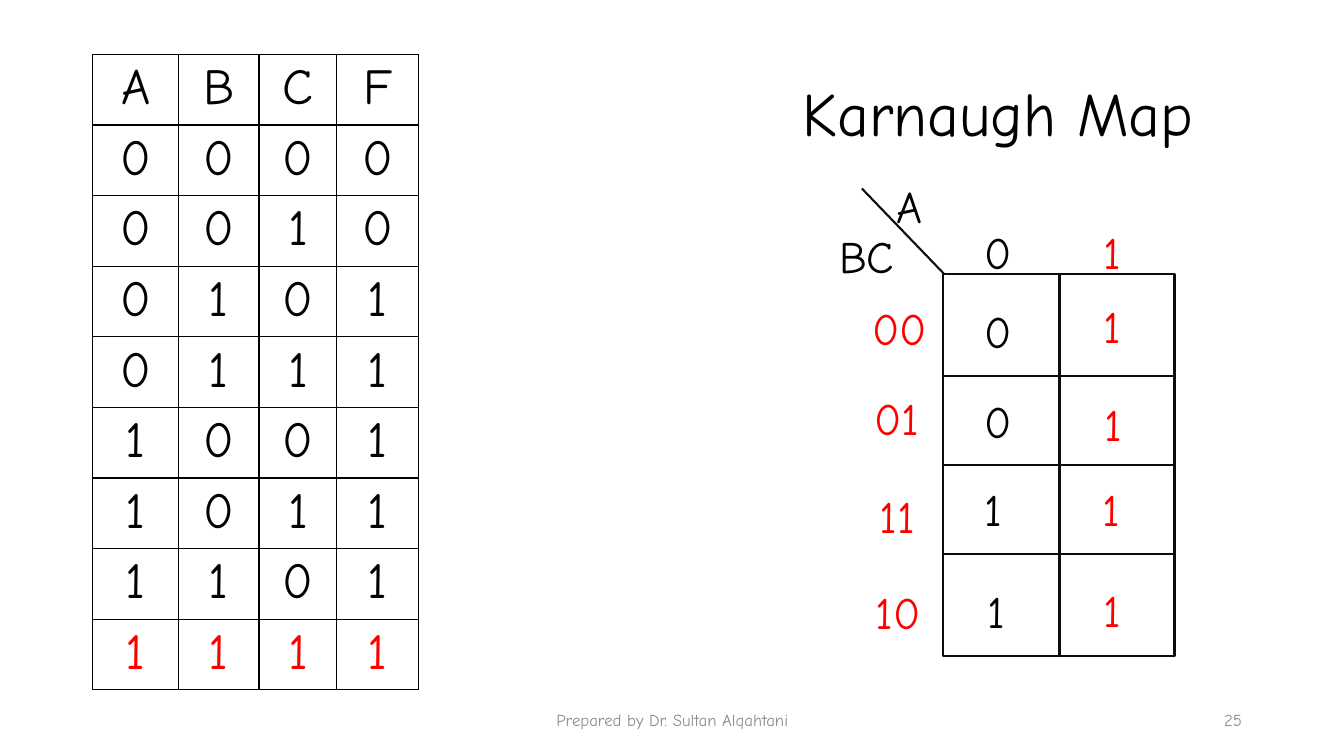
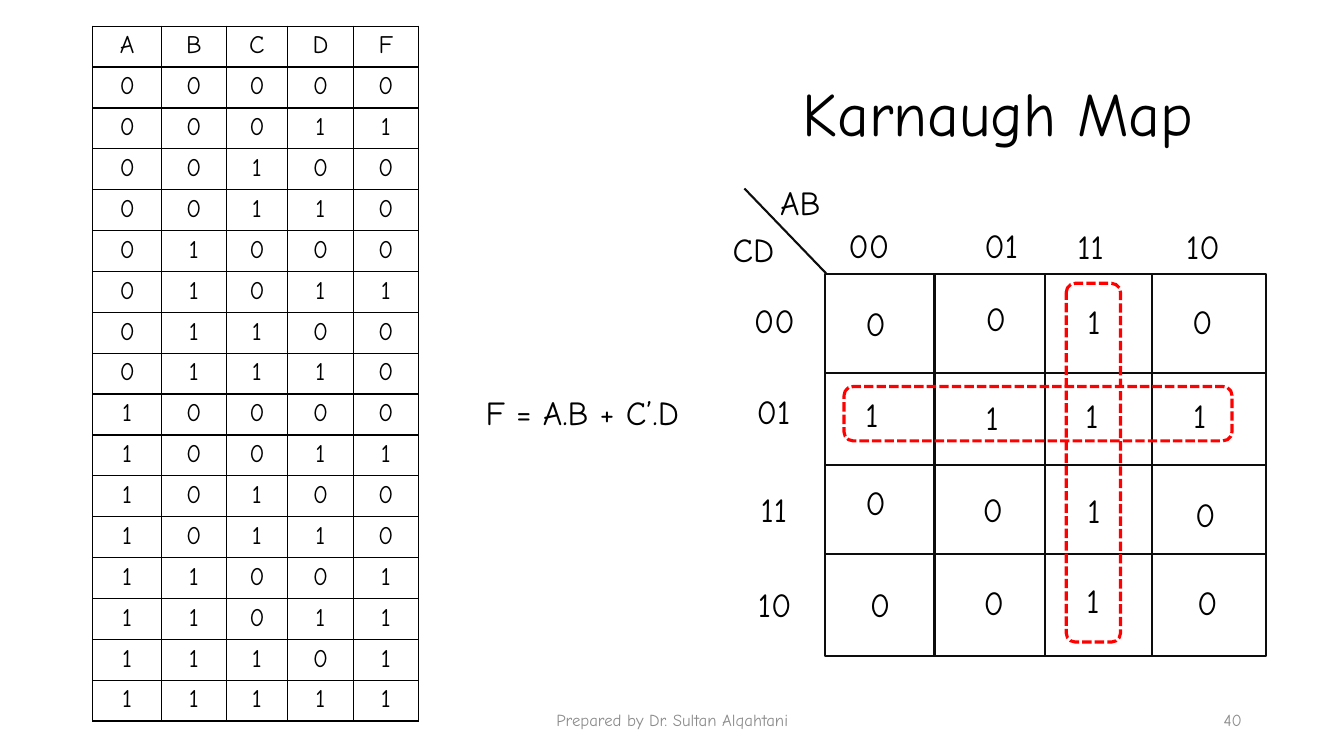
"""Build two Karnaugh map slides with their truth tables."""
from dataclasses import dataclass
from itertools import product

from lxml import etree
from pptx import Presentation
from pptx import util as u
from pptx.dml.color import RGBColor
from pptx.enum import dml, shapes, text
from pptx.oxml import ns

Cm, Pt = u.Cm, u.Pt


@dataclass(frozen=True)
class Theme:
    """Hold the colours, font and type sizes."""
    font: str = "Comic Neue"
    ink: str = "000000"
    line: str = "0D0D0D"
    red: str = "FF0000"
    grey: str = "8C8C8C"
    paper: str = "FFFFFF"
    title: int = 44
    large: int = 32
    mid: int = 24
    head: int = 36
    body: int = 18
    foot: int = 12


EMS = {"0": 0.62, "1": 0.46, "A": 0.74, "B": 0.62, "C": 0.62, "D": 0.73}
LEFT, MID, RIGHT = text.PP_ALIGN.LEFT, text.PP_ALIGN.CENTER, text.PP_ALIGN.RIGHT


def apply(item, vals):
    """Set each named value on an item."""
    for name, val in vals.items():
        setattr(item, name, val)


class Deck:
    """Hold the theme and current slide and draw each kind of element."""

    def __init__(self, theme):
        """Start an empty widescreen deck."""
        self.theme = theme
        self.prs = Presentation()
        apply(self.prs, {"slide_width": Cm(33.87), "slide_height": Cm(19.05)})
        self.slide = None

    def page(self, num):
        """Add a slide with the shared title, footer and number."""
        t = self.theme
        self.slide = self.prs.slides.add_slide(self.prs.slide_layouts[6])
        self.block("Karnaugh Map", (16.94, 1.09, 13.39, 3.68), t.title, t.ink, RIGHT)
        self.block("Prepared by Dr. Sultan Alqahtani", (11.23, 17.65, 11.43, 1.02),
                   t.foot, t.grey, MID)
        self.block(num, (23.93, 17.65, 7.62, 1.02), t.foot, t.grey, RIGHT)

    def style(self, frame, words, size, hue, align):
        """Fill a text frame with one styled paragraph."""
        para = frame.paragraphs[0]
        para.alignment = align
        run = para.add_run()
        run.text = words
        apply(run.font, {"name": self.theme.font, "size": Pt(size)})
        run.font.color.rgb = RGBColor.from_string(hue)
        return para

    def block(self, words, box, size, hue, align):
        """Add a wrapped, vertically centred text box."""
        frame = self.slide.shapes.add_textbox(*map(Cm, box)).text_frame
        apply(frame, {"word_wrap": True, "vertical_anchor": text.MSO_ANCHOR.MIDDLE})
        self.style(frame, words, size, hue, align).line_spacing = 0.9

    def label(self, words, left, top, size, hue, width=None):
        """Add a one-line label sized to its characters."""
        wide = Cm(width) if width else Cm(0.51) + Pt(size * sum(EMS[c] for c in words))
        high = Cm(0.25) + Pt(1.2 * size)
        frame = self.slide.shapes.add_textbox(Cm(left), Cm(top), wide, high).text_frame
        apply(frame, {"word_wrap": False,
                      "auto_size": text.MSO_AUTO_SIZE.SHAPE_TO_FIT_TEXT})
        self.style(frame, words, size, hue, LEFT)

    def labels(self, marks, size, hue):
        """Add several labels of one size and colour."""
        for mark in marks:
            self.label(*mark, size, hue)

    def line(self, *ends):
        """Draw a plain straight line."""
        rule = self.slide.shapes.add_connector(
            shapes.MSO_CONNECTOR.STRAIGHT, *map(Cm, ends))
        rule.line.width = Pt(1.5)
        rule.line.color.rgb = RGBColor.from_string(self.theme.line)
        etree.SubElement(rule._element.spPr, ns.qn("a:effectLst"))

    def shape(self, kind, box, hue, width):
        """Add an outlined preset shape without fill or shadow."""
        item = self.slide.shapes.add_shape(kind, *map(Cm, box))
        item.shadow.inherit = False
        item.fill.background()
        item.line.width = Pt(width)
        item.line.color.rgb = RGBColor.from_string(hue)
        return item

    def loop(self, *box):
        """Ring a group of ones with a dashed red outline."""
        ring = self.shape(shapes.MSO_SHAPE.ROUNDED_RECTANGLE, box, self.theme.red, 2.25)
        ring.line.dash_style = dml.MSO_LINE.SQUARE_DOT

    def grid(self, left, width, cols, rows):
        """Draw a map frame, its inner rules and its corner slash."""
        top, high = 6.9, 9.63
        frame = self.shape(shapes.MSO_SHAPE.RECTANGLE, (left, top, width, high),
                           self.theme.line, 1.5)
        frame.fill.solid()
        frame.fill.fore_color.rgb = RGBColor.from_string(self.theme.paper)
        for x in cols:
            self.line(x, top, x, top + high)
        for y in rows:
            self.line(left, y, left + width, y)
        self.line(left + 0.03, top, left - 2.04, 4.75)

    def edge(self, cell):
        """Give a cell thin borders on all sides."""
        props = cell._tc.get_or_add_tcPr()
        for i, side in enumerate(("lnL", "lnR", "lnT", "lnB")):
            rule = etree.Element(ns.qn("a:" + side), w=str(Pt(1)))
            fill = etree.SubElement(rule, ns.qn("a:solidFill"))
            etree.SubElement(fill, ns.qn("a:srgbClr"), val=self.theme.ink)
            props.insert(i, rule)

    def truth(self, names, rule, top, wide, high, size, last):
        """Tabulate a logic rule for every input, with a coloured last row."""
        data = [names] + [(*bits, int(rule(*bits)))
                          for bits in product((0, 1), repeat=len(names) - 1)]
        frame = self.slide.shapes.add_table(
            len(data), len(names), Cm(2.34), Cm(top), Cm(sum(wide)),
            Cm(high * len(data)))
        table = frame.table
        apply(table, {"first_row": False, "horz_banding": False})
        for col, span in zip(table.columns, wide):
            col.width = Cm(span)
        for r, vals in enumerate(data):
            table.rows[r].height = Cm(high)
            hue = last if r == len(data) - 1 else self.theme.ink
            for c, val in enumerate(vals):
                cell = table.cell(r, c)
                cell.fill.background()
                self.edge(cell)
                self.style(cell.text_frame, str(val), size, hue, MID)


def three(deck):
    """Build the slide for three inputs."""
    t = deck.theme
    deck.page("25")
    deck.truth("ABCF", lambda a, b, c: a or b, 1.37,
               (2.16, 2.03, 1.96, 2.06), 1.71, t.head, t.red)
    deck.grid(23.76, 5.84, (26.7,), (9.47, 11.71, 13.97))
    deck.labels([
        ("A", 22.35, 4.37), ("BC", 20.9, 5.64), ("0", 24.56, 5.54),
        ("0", 24.56, 7.52), ("0", 24.56, 9.8), ("1", 24.56, 12.01),
        ("1", 24.64, 14.58)], t.large, t.ink)
    deck.labels([
        ("1", 27.56, 5.54),
        ("00", 21.74, 7.44), ("1", 27.56, 7.39),
        ("01", 21.79, 9.73), ("1", 27.58, 9.88),
        ("11", 21.92, 12.19), ("1", 27.53, 12.01),
        ("10", 21.82, 14.6), ("1", 27.56, 14.55)], t.large, t.red)


def four(deck):
    """Build the slide for four inputs."""
    t = deck.theme
    deck.page("40")
    deck.truth("ABCDF", lambda a, b, c, d: a and b or d and not c, 0.66,
               (1.73, 1.63, 1.55, 1.65, 1.65), 1.03, t.body, t.ink)
    deck.grid(20.8, 11.1, (23.55, 26.34, 29.03), (9.4, 11.71, 13.97))
    deck.labels([
        ("AB", 19.41, 4.45), ("CD", 18.21, 5.64),
        ("00", 21.13, 5.54), ("01", 24.56, 5.54), ("11", 26.9, 5.56), ("10", 29.64, 5.56),
        ("00", 18.75, 7.44), ("0", 21.56, 7.52), ("0", 24.59, 7.39),
        ("1", 27.15, 7.47), ("0", 29.79, 7.47),
        ("01", 18.82, 9.73), ("1", 21.56, 9.8), ("1", 24.59, 9.88),
        ("1", 27.1, 9.83), ("1", 29.82, 9.83),
        ("11", 18.92, 12.19), ("0", 21.56, 12.01), ("0", 24.51, 12.19),
        ("1", 27.15, 12.22), ("0", 29.87, 12.32),
        ("10", 18.85, 14.6), ("0", 21.67, 14.58), ("0", 24.54, 14.53),
        ("1", 27.13, 14.48), ("0", 29.92, 14.53)], t.mid, t.ink)
    deck.loop(21.27, 9.74, 9.78, 1.37)
    deck.loop(26.87, 7.14, 1.37, 9.04)
    deck.label("F = A.B + C’.D", 11.99, 9.75, t.mid, t.ink, 5.77)


deck = Deck(Theme())
three(deck)
four(deck)
deck.prs.save("out.pptx")
